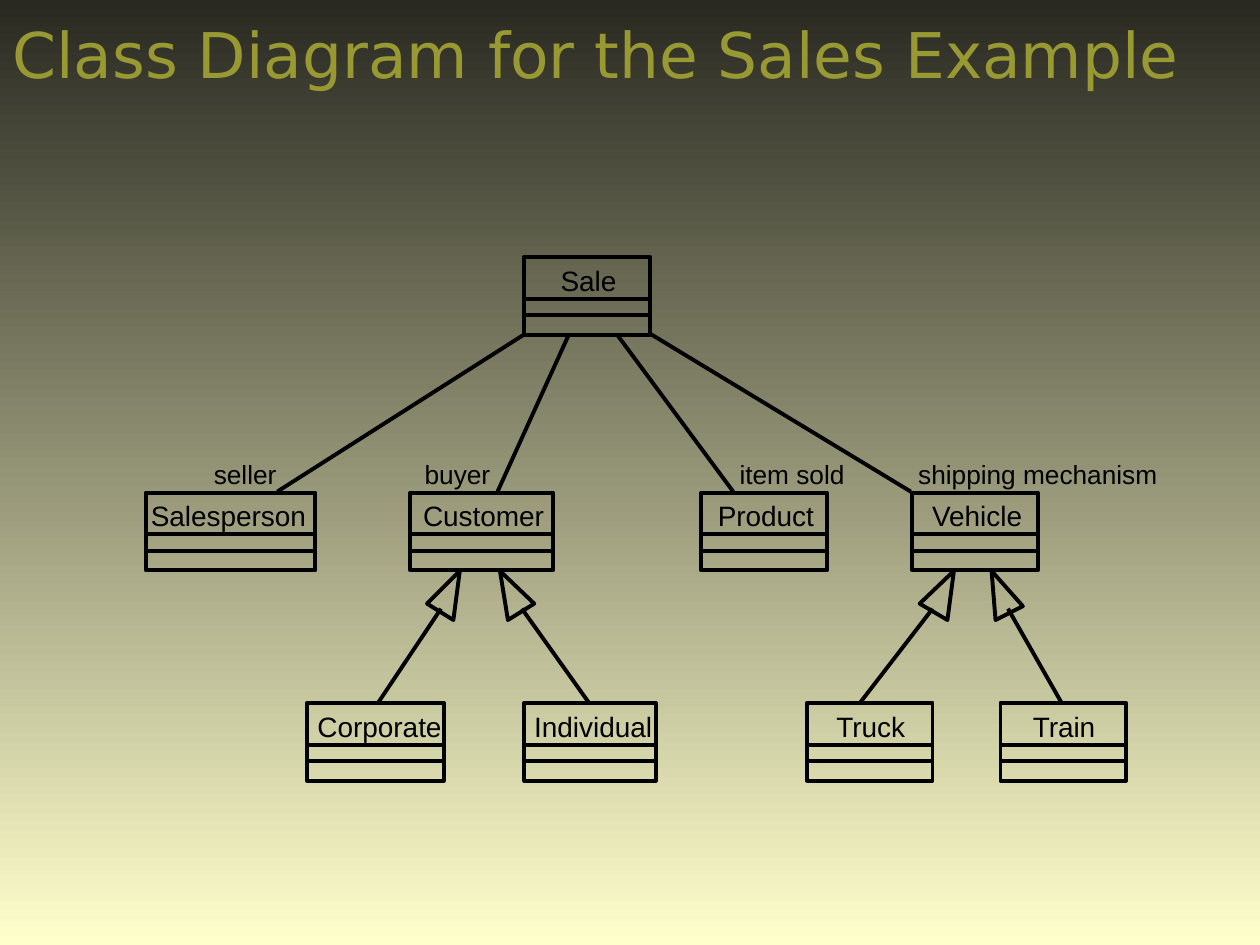
from typing import NamedTuple

from lxml.etree import SubElement
from pptx import Presentation
from pptx.dml.color import RGBColor
from pptx.enum.shapes import MSO_CONNECTOR as Connector, MSO_SHAPE as Shape
from pptx.enum.text import MSO_ANCHOR as Anchor, MSO_AUTO_SIZE as AutoSize
from pptx.oxml.ns import qn
from pptx.util import Cm, Pt

COLORS = {"top": "292921", "bottom": "FFFFCC", "title": "999933", "ink": "000000"}
Point = tuple[float, float]

TOP_ROW, MIDDLE_ROW, BOTTOM_ROW = 5.18, 9.93, 14.17
CLASS_HEIGHT = 1.57
DIVIDERS = (0.84, 1.17)
LABEL_TOP, TEXT_HEIGHT = 9.09, 0.94
LINE_WIDTH = Pt(2.25)


class UmlClass(NamedTuple):
    name: str
    left: float
    top: float
    width: float
    text_left: float
    text_width: float


class Association(NamedTuple):
    start: Point
    end: Point


class Inheritance(NamedTuple):
    child: Point
    arrow_base: Point
    triangle: tuple[Point, Point, Point]


class Role(NamedTuple):
    text: str
    left: float
    width: float


CLASSES = (
    UmlClass("Sale", 10.57, TOP_ROW, 2.53, 11.05, 1.65),
    UmlClass("Salesperson", 2.94, MIDDLE_ROW, 3.42, 2.79, 3.63),
    UmlClass("Customer", 8.27, MIDDLE_ROW, 2.88, 8.28, 2.95),
    UmlClass("Product", 14.14, MIDDLE_ROW, 2.53, 14.22, 2.46),
    UmlClass("Vehicle", 18.39, MIDDLE_ROW, 2.53, 18.54, 2.36),
    UmlClass("Corporate", 6.19, BOTTOM_ROW, 2.76, 6.15, 3.02),
    UmlClass("Individual", 10.57, BOTTOM_ROW, 2.65, 10.52, 2.9),
    UmlClass("Truck", 16.27, BOTTOM_ROW, 2.53, 16.61, 1.93),
    UmlClass("Train", 20.17, BOTTOM_ROW, 2.53, 20.57, 1.8),
)
ASSOCIATIONS = (
    Association((10.54, 6.76), (5.59, 9.91)),
    Association((11.46, 6.76), (10.03, 9.91)),
    Association((12.45, 6.76), (14.78, 9.91)),
    Association((13.11, 6.73), (18.36, 9.91)),
)
INHERITANCES = (
    Inheritance((7.62, 14.17), (8.89, 12.27), ((9.27, 11.51), (9.14, 12.5), (8.61, 12.17))),
    Inheritance((11.86, 14.15), (10.52, 12.27), ((10.08, 11.51), (10.77, 12.17), (10.24, 12.5))),
    Inheritance((17.35, 14.15), (18.8, 12.27), ((19.23, 11.51), (19.1, 12.5), (18.54, 12.17))),
    Inheritance((21.39, 14.15), (20.32, 12.27), ((19.99, 11.51), (20.62, 12.22), (20.07, 12.5))),
)
ROLES = (
    Role("seller", 4.01, 3.38),
    Role("buyer", 8.26, 3.38),
    Role("item sold", 14.61, 3.38),
    Role("shipping mechanism", 18.21, 5.92),
)


def color(name: str) -> RGBColor:
    return RGBColor.from_string(COLORS[name])


def outline(shape) -> None:
    shape.shadow.inherit = False
    shape.fill.background()
    shape.line.color.rgb = color("ink")
    shape.line.width = LINE_WIDTH


def add_line(shapes, start: Point, end: Point) -> None:
    line = shapes.add_connector(Connector.STRAIGHT, *map(Cm, start + end))
    line.line.color.rgb = color("ink")
    line.line.width = LINE_WIDTH
    SubElement(line._element.spPr, qn("a:effectLst"))


def add_text(shapes, text: str, left: float, top: float, width: float, height: float,
             size: float, inset: Point, ink: str = "ink", font: str = "Arial",
             wrap: bool = True, anchor=Anchor.TOP, fit=AutoSize.SHAPE_TO_FIT_TEXT) -> None:
    frame = shapes.add_textbox(Cm(left), Cm(top), Cm(width), Cm(height)).text_frame
    frame.word_wrap = wrap
    frame.auto_size = fit
    frame.vertical_anchor = anchor
    frame.margin_left = frame.margin_right = Cm(inset[0])
    frame.margin_top = frame.margin_bottom = Cm(inset[1])
    para = frame.paragraphs[0]
    para.text = text
    para.font.name = font
    para.font.size = Pt(size)
    para.font.color.rgb = color(ink)


def add_class(shapes, item: UmlClass) -> None:
    outline(shapes.add_shape(Shape.RECTANGLE, Cm(item.left), Cm(item.top),
                             Cm(item.width), Cm(CLASS_HEIGHT)))
    for offset in DIVIDERS:
        height = item.top + offset
        add_line(shapes, (item.left, height), (item.left + item.width, height))
    add_text(shapes, item.name, item.text_left, item.top, item.text_width, TEXT_HEIGHT,
             16, (0.25, 0.13), wrap=False)


def add_inheritance(shapes, item: Inheritance) -> None:
    tip, *corners = [(Cm(x), Cm(y)) for x, y in item.triangle]
    builder = shapes.build_freeform(*tip)
    builder.add_line_segments(corners, close=True)
    outline(builder.convert_to_shape())
    add_line(shapes, item.child, item.arrow_base)


def paint_background(page) -> None:
    fill = page.background.fill
    fill.gradient()
    fill.gradient_angle = 270
    for stop, name in zip(fill.gradient_stops, ("top", "bottom")):
        stop.color.rgb = color(name)


def main() -> None:
    """Build the class diagram slide for the sales example."""
    deck = Presentation()
    deck.slide_width, deck.slide_height = Cm(25.4), Cm(19.05)
    page = deck.slides.add_slide(deck.slide_layouts[6])
    paint_background(page)
    add_text(page.shapes, "Class Diagram for the Sales Example", 0.25, 0.36, 25, 1.47,
             36, (0, 0), "title", "DejaVu Sans", anchor=Anchor.BOTTOM, fit=AutoSize.NONE)
    diagram = page.shapes.add_group_shape().shapes
    for item in CLASSES:
        add_class(diagram, item)
    for link in ASSOCIATIONS:
        add_line(diagram, link.start, link.end)
    for item in INHERITANCES:
        add_inheritance(diagram, item)
    for role in ROLES:
        add_text(page.shapes, role.text, role.left, LABEL_TOP, role.width, TEXT_HEIGHT,
                 15, (0.3, 0.15))
    deck.save("out.pptx")


if __name__ == "__main__":
    main()
